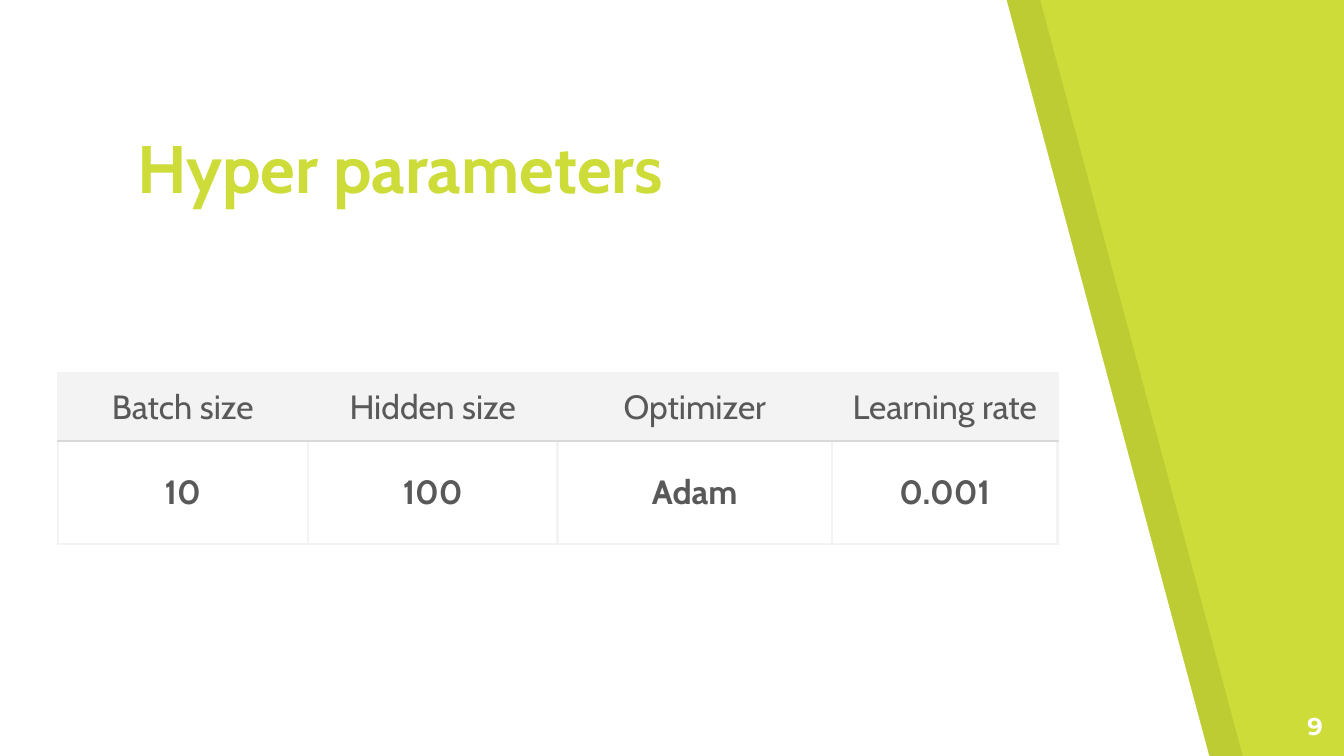
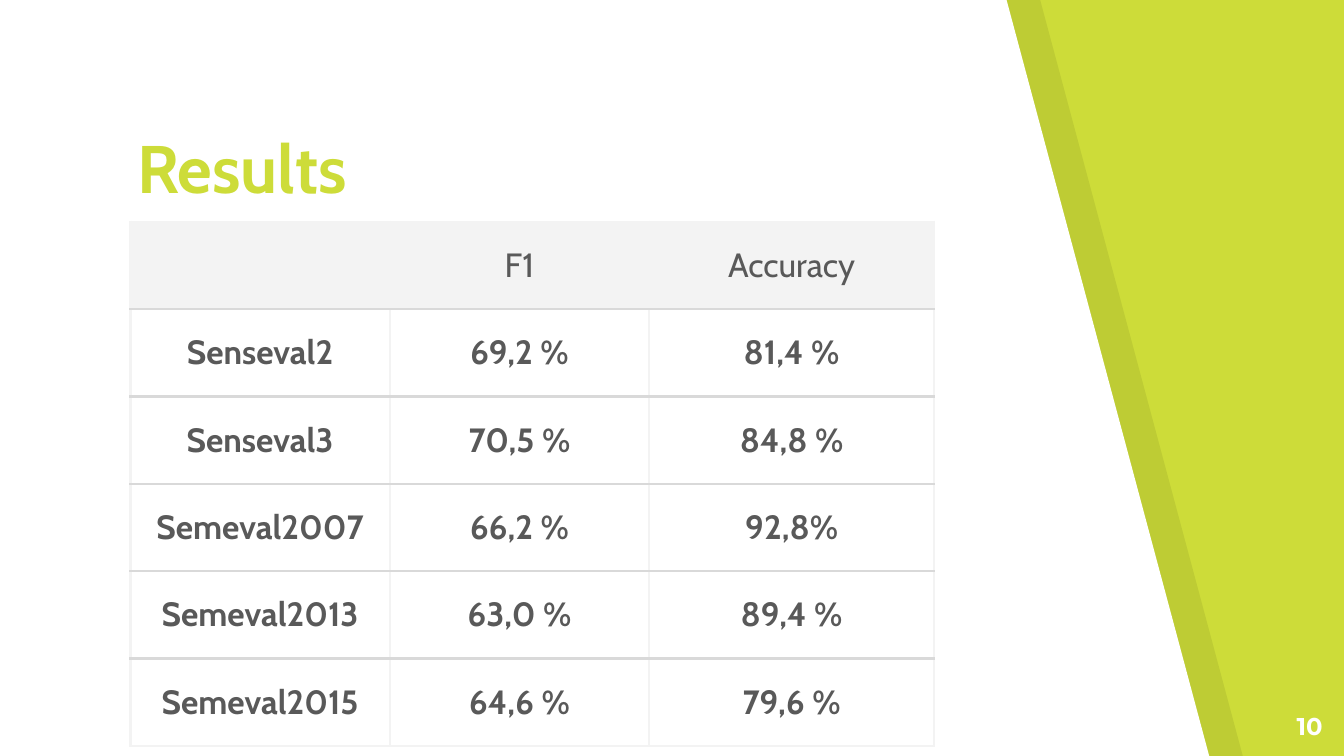
from lxml import etree
from pptx import Presentation
from pptx import util as u
from pptx.dml import color
from pptx.enum import text
from pptx.oxml import ns

WIDTH = 10
HEIGHT = WIDTH * 9 / 16
BLEED = 0.01
LIME, WHITE, BLACK = "CDDC39", "FFFFFF", "000000"
GREY, PALE, RULE = "595959", "F3F3F3", "D9D9D9"

SLIDES = [
    {
        "number": "9",
        "title": "Hyper parameters",
        "corner": (0.43, 2.78),
        "columns": (1.86, 1.86, 2.04, 1.68),
        "heights": (0.5, 0.77),
        "rows": [
            ("Batch size", "Hidden size", "Optimizer", "Learning rate"),
            ("10", "100", "Adam", "0.001"),
        ],
    },
    {
        "number": "10",
        "title": "Results",
        "corner": (0.97, 1.65),
        "columns": (1.93, 1.93, 2.12),
        "heights": (0.65,) * 6,
        "rows": [
            ("", "F1", "Accuracy"),
            ("Senseval2", "69,2 %", "81,4 %"),
            ("Senseval3", "70,5 %", "84,8 %"),
            ("Semeval2007", "66,2 %", "92,8%"),
            ("Semeval2013", "63,0 %", "89,4 %"),
            ("Semeval2015", "64,6 %", "79,6 %"),
        ],
    },
]

TITLE = {"name": "Cabin", "size": u.Pt(36), "bold": True, "color": LIME}
NUMBER = {"name": "Montserrat", "size": u.Pt(13), "bold": True, "color": WHITE}
HEADER = {"name": "Cabin", "size": u.Pt(18), "bold": False, "color": GREY}
BODY = HEADER | {"bold": True}


def rgb(value):
    return color.RGBColor.from_string(value)


def paint(fill, value):
    fill.solid()
    fill.fore_color.rgb = rgb(value)


def write(frame, words, style, align):
    para = frame.paragraphs[0]
    para.alignment = align
    span = para.add_run()
    span.text = words
    for key, value in style.items():
        if key == "color":
            span.font.color.rgb = rgb(value)
        else:
            setattr(span.font, key, value)


def fit_box(box, area, anchor):
    for key, value in zip(("left", "top", "width", "height"), area):
        setattr(box, key, u.Inches(value))
    frame = box.text_frame
    frame.word_wrap = True
    frame.auto_size = text.MSO_AUTO_SIZE.NONE
    frame.vertical_anchor = anchor
    for side in ("left", "top", "right", "bottom"):
        setattr(frame, f"margin_{side}", u.Inches(0.1))
    return frame


def add_panel(page, shift, value, opacity=None):
    bottom = HEIGHT + BLEED
    outline = page.shapes.build_freeform(
        u.Inches(shift), u.Inches(-BLEED), scale=1.0)
    corners = [(shift, bottom), (shift + 9, bottom), (shift + 7.49, 0)]
    outline.add_line_segments(
        [(u.Inches(x), u.Inches(y)) for x, y in corners], close=True)
    panel = outline.convert_to_shape()
    panel.shadow.inherit = False
    panel.line.fill.background()
    paint(panel.fill, value)
    if opacity:
        tint = panel.element.spPr.find(".//" + ns.qn("a:srgbClr"))
        etree.SubElement(tint, ns.qn("a:alpha"), val=str(opacity * 1000))


def add_border(cell, side, value):
    line = etree.SubElement(
        cell._tc.get_or_add_tcPr(), ns.qn(f"a:ln{side}"), w=str(u.Pt(1.5)))
    solid = etree.SubElement(line, ns.qn("a:solidFill"))
    etree.SubElement(solid, ns.qn("a:srgbClr"), val=value)


def add_grid(page, content):
    rows, columns, heights = (content[k] for k in ("rows", "columns", "heights"))
    left, top = content["corner"]
    area = (left, top, sum(columns), sum(heights))
    table = page.shapes.add_table(
        len(rows), len(columns), *map(u.Inches, area)).table
    table.horz_banding = False
    for column, width in zip(table.columns, columns):
        column.width = u.Inches(width)
    for row, height in zip(table.rows, heights):
        row.height = u.Inches(height)
    for r, words in enumerate(rows):
        first, last = r == 0, r == len(rows) - 1
        borders = {"L": PALE, "R": PALE,
                   "T": PALE if first else RULE,
                   "B": PALE if last else RULE}
        for c, word in enumerate(words):
            cell = table.cell(r, c)
            for side, value in borders.items():
                add_border(cell, side, value)
            if first:
                paint(cell.fill, PALE)
            else:
                cell.fill.background()
            cell.vertical_anchor = text.MSO_ANCHOR.MIDDLE
            cell.margin_left = cell.margin_right = u.Inches(0.1)
            cell.margin_top = cell.margin_bottom = u.Inches(0.07)
            if word:
                write(cell.text_frame, word, HEADER if first else BODY,
                      text.PP_ALIGN.CENTER)


def add_page(deck, content):
    page = deck.slides.add_slide(deck.slide_layouts[5])
    paint(page.background.fill, LIME)
    add_panel(page, 0.25, BLACK, 7)
    add_panel(page, 0, WHITE)
    box = page.shapes.add_textbox(0, 0, 0, 0)
    frame = fit_box(box, (9.34, 5.19, 0.6, 0.43), text.MSO_ANCHOR.TOP)
    write(frame, content["number"], NUMBER, text.PP_ALIGN.RIGHT)
    title = page.shapes.title
    title.element.getparent().append(title.element)
    frame = fit_box(title, (0.92, 1.11, 5.02, 0.53), text.MSO_ANCHOR.BOTTOM)
    write(frame, content["title"], TITLE, text.PP_ALIGN.LEFT)
    add_grid(page, content)


def main():
    deck = Presentation()
    deck.slide_width = u.Inches(WIDTH)
    deck.slide_height = u.Inches(HEIGHT)
    for content in SLIDES:
        add_page(deck, content)
    deck.save("out.pptx")


if __name__ == "__main__":
    main()
